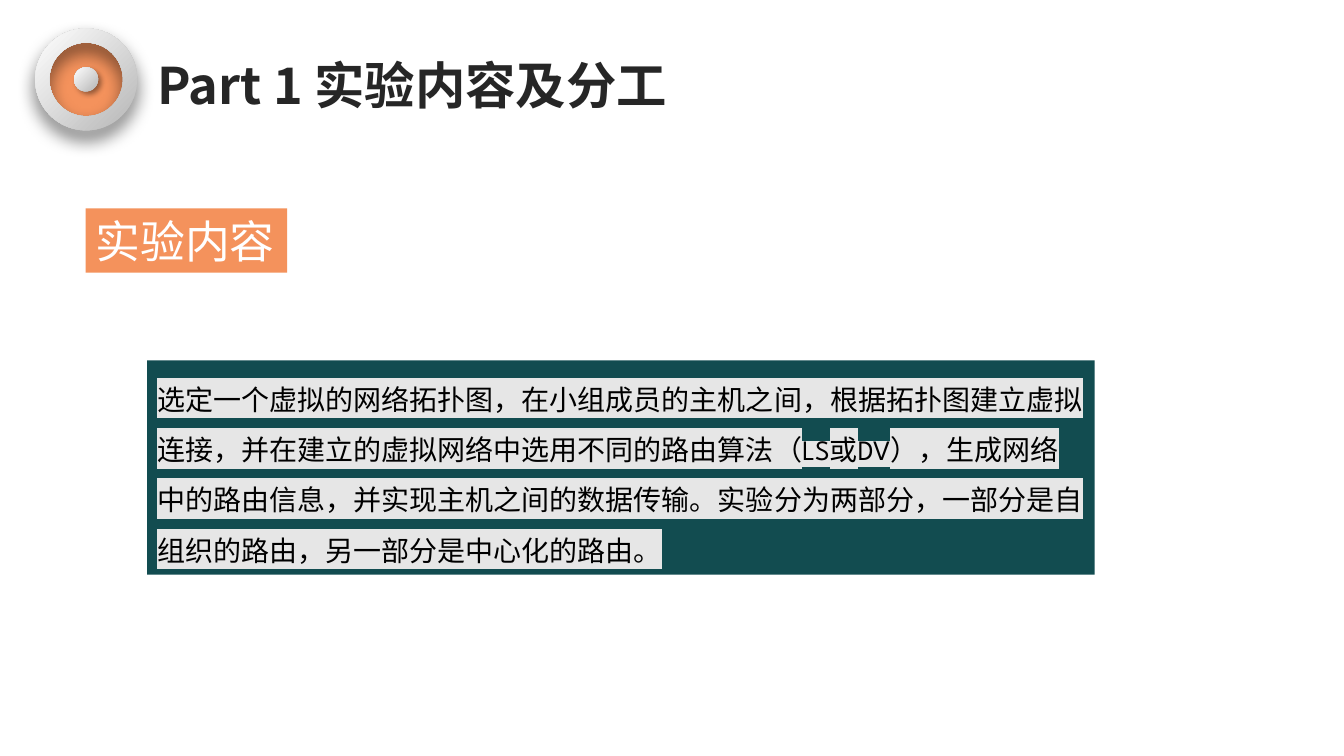
"""Build the slide on the content of the experiment."""
from lxml import etree
from pptx import Presentation
from pptx.dml.color import RGBColor
from pptx.enum.shapes import MSO_SHAPE
from pptx.enum.text import MSO_ANCHOR, PP_ALIGN
from pptx.oxml.ns import qn
from pptx.util import Cm, Pt

OVAL, DONUT, RECT = MSO_SHAPE.OVAL, MSO_SHAPE.DONUT, MSO_SHAPE.RECTANGLE
TOP, LEFT = MSO_ANCHOR.TOP, PP_ALIGN.LEFT

THEME = {
    "accent": "F4925C", "panel": "124C50", "mark": "E6E6E6",
    "dark": "262626", "white": "FFFFFF", "black": "000000",
    "metal": (("BFBFBF", 0.12), ("FFFFFF", 1.0)),
    "sans": "Noto Sans CJK SC", "body": "League Spartan",
    "title": 36, "label": 32, "text": 20,
}

TEXTS = [
    {"text": "Part 1 实验内容及分工", "box": (3.71, 1.24, 13.72, 1.8),
     "fill": None, "size": "title", "font": "sans", "color": "dark",
     "bold": True, "wrap": False, "space": 1.0, "mark": None},
    {"text": "实验内容", "box": (2.16, 5.25, 5.08, 1.62),
     "fill": "accent", "size": "label", "font": "sans", "color": "white",
     "bold": False, "wrap": True, "space": 1.0, "mark": None},
    {"text": "选定一个虚拟的网络拓扑图，在小组成员的主机之间，根据拓扑图建立虚拟连接，"
             "并在建立的虚拟网络中选用不同的路由算法（LS或DV），生成网络中的路由信息，"
             "并实现主机之间的数据传输。实验分为两部分，一部分是自组织的路由，"
             "另一部分是中心化的路由。",
     "box": (3.71, 9.08, 23.88, 5.4),
     "fill": "panel", "size": "text", "font": "body", "color": "black",
     "bold": False, "wrap": True, "space": 1.5, "mark": "mark"},
]

CENTER = (2.17, 2.0)
RINGS = [
    {"kind": OVAL, "size": 2.01, "metal": False,
     "shade": ("innerShdw", 50, 5, 4, 270)},
    {"kind": OVAL, "size": 0.61, "metal": True,
     "shade": ("outerShdw", 40, 4, 3, 45)},
    {"kind": DONUT, "size": 2.57, "metal": True,
     "shade": ("outerShdw", 54, 13, 7, 90)},
]


def tint(name):
    return RGBColor.from_string(THEME[name])


def add_shade(shape, kind, alpha, blur, dist, angle):
    shape.shadow.inherit = False
    effects = shape._element.spPr.find(qn("a:effectLst"))
    shade = etree.SubElement(effects, qn("a:" + kind), blurRad=str(Pt(blur)),
                             dist=str(Pt(dist)), dir=str(angle * 60000))
    if kind == "outerShdw":
        shade.set("rotWithShape", "0")
    color = etree.SubElement(shade, qn("a:srgbClr"), val=THEME["black"])
    etree.SubElement(color, qn("a:alpha"), val=str(alpha * 1000))


def add_ring(group, ring):
    size = ring["size"]
    left, top = (mid - size / 2 for mid in CENTER)
    shape = group.shapes.add_shape(ring["kind"], Cm(left), Cm(top), Cm(size), Cm(size))
    if ring["kind"] == DONUT:
        shape.adjustments[0] = 0.139
    if ring["metal"]:
        shape.rotation = 180
        shape.fill.gradient()
        shape.fill.gradient_angle = 315
        for stop, (color, place) in zip(shape.fill.gradient_stops, THEME["metal"]):
            stop.color.rgb = RGBColor.from_string(color)
            stop.position = place
    else:
        shape.fill.solid()
        shape.fill.fore_color.rgb = tint("accent")
    shape.line.fill.background()
    add_shade(shape, *ring["shade"])


def add_text(slide, item):
    box = [Cm(n) for n in item["box"]]
    if item["fill"]:
        shape = slide.shapes.add_shape(RECT, *box)
        shape.shadow.inherit = False
        shape.fill.solid()
        shape.fill.fore_color.rgb = tint(item["fill"])
        shape.line.fill.background()
    else:
        shape = slide.shapes.add_textbox(*box)
    frame = shape.text_frame
    frame.word_wrap = item["wrap"]
    frame.vertical_anchor = TOP
    para = frame.paragraphs[0]
    para.alignment = LEFT
    para.line_spacing = item["space"]
    run = para.add_run()
    run.text = item["text"]
    form = {"size": Pt(THEME[item["size"]]), "bold": item["bold"],
            "name": THEME[item["font"]]}
    for key, value in form.items():
        setattr(run.font, key, value)
    run.font.color.rgb = tint(item["color"])
    props = run._r.get_or_add_rPr()
    latin = props.find(qn("a:latin"))
    latin.addnext(etree.Element(qn("a:ea"), typeface=THEME["sans"]))
    if item["mark"]:
        mark = etree.Element(qn("a:highlight"))
        etree.SubElement(mark, qn("a:srgbClr"), val=THEME[item["mark"]])
        latin.addprevious(mark)


def main():
    deck = Presentation()
    deck.slide_width, deck.slide_height = Cm(33.87), Cm(19.05)
    slide = deck.slides.add_slide(deck.slide_layouts[6])
    group = slide.shapes.add_group_shape()
    for ring in RINGS:
        add_ring(group, ring)
    for item in TEXTS:
        add_text(slide, item)
    deck.save("out.pptx")


if __name__ == "__main__":
    main()
